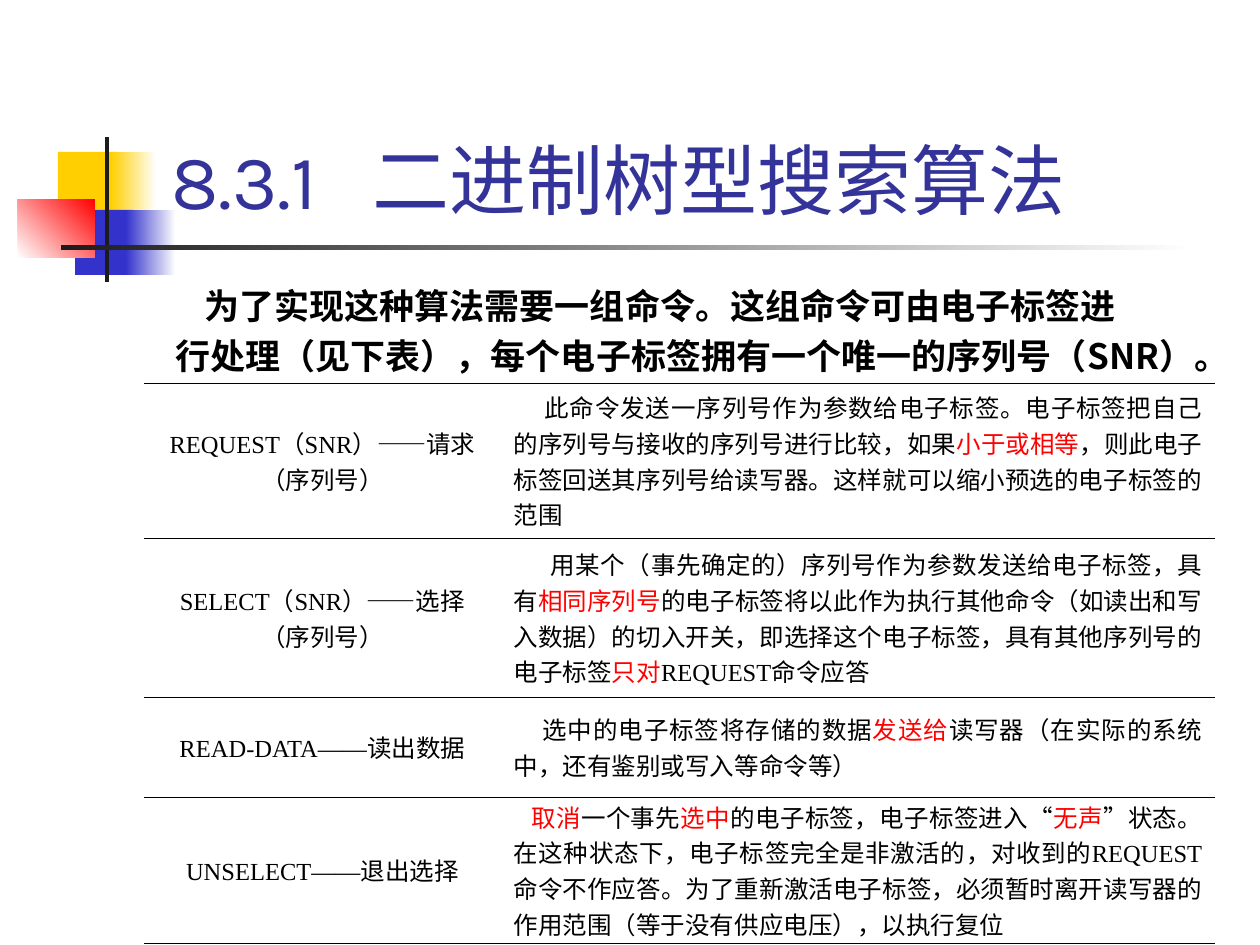
from dataclasses import dataclass

from lxml import etree
from pptx import Presentation
from pptx.dml.color import RGBColor
from pptx.enum.shapes import MSO_SHAPE
from pptx.enum.text import MSO_ANCHOR, PP_ALIGN
from pptx.oxml.ns import qn
from pptx.util import Pt

RECTANGLE = MSO_SHAPE.RECTANGLE
MIDDLE, BOTTOM = MSO_ANCHOR.MIDDLE, MSO_ANCHOR.BOTTOM
CENTER, JUSTIFY = PP_ALIGN.CENTER, PP_ALIGN.JUSTIFY
EMU_PER_PX = 914400 // 126


@dataclass(frozen=True)
class Theme:
    yellow: str = "FFCF01"
    blue: str = "3333CC"
    red: str = "FF0000"
    dark: str = "1C1C1C"
    white: str = "FFFFFF"
    black: str = "000000"
    title: str = "333399"
    title_font: str = "Karla"
    chinese_font: str = "Noto Sans CJK SC"
    table_font: str = "Times New Roman"
    title_size: int = 44
    body_size: int = 20
    table_size: int = 14
    border_width: float = 0.45


THEME = Theme()

DECORATION = [
    (58, 152, 60, 65, [THEME.yellow], 0),
    (111, 152, 45, 65, [THEME.yellow, THEME.white], 0),
    (75, 210, 58, 65, [THEME.blue], 0),
    (126, 210, 50, 65, [THEME.blue, THEME.white], 0),
    (18, 199, 77, 59, [THEME.white, THEME.red], 45),
    (105, 137, 4, 145, [THEME.dark], 0),
    (61, 245, 1134, 5, [THEME.dark, THEME.white], 0),
]

INTRODUCTION = [
    ("为了实现这种算法需要一组命令。这组命令可由电子标签进", -19),
    ("行处理（见下表），每个电子标签拥有一个唯一的序列号（SNR）。", -48),
]

COMMANDS = [
    ("REQUEST（SNR）——请求（序列号）", 155, 6, 31,
     "此命令发送一序列号作为参数给电子标签。电子标签把自己的序列号与接收的序列号进行比较，"
     "如果|小于或相等|，则此电子标签回送其序列号给读写器。这样就可以缩小预选的电子标签的范围"),
    ("SELECT（SNR）——选择（序列号）", 159, 6, 37,
     "用某个（事先确定的）序列号作为参数发送给电子标签，具有|相同序列号|的电子标签将以此作为"
     "执行其他命令（如读出和写入数据）的切入开关，即选择这个电子标签，具有其他序列号的"
     "电子标签|只对|REQUEST命令应答"),
    ("READ-DATA——读出数据", 100, 6, 29,
     "选中的电子标签将存储的数据|发送给|读写器（在实际的系统中，还有鉴别或写入等命令等）"),
    ("UNSELECT——退出选择", 146, 1, 18,
     "|取消|一个事先|选中|的电子标签，电子标签进入“|无声|”状态。在这种状态下，"
     "电子标签完全是非激活的，对收到的REQUEST命令不作应答。为了重新激活电子标签，"
     "必须暂时离开读写器的作用范围（等于没有供应电压），以执行复位"),
]


def px(length):
    return length * EMU_PER_PX


def format_run(run, size, font_name, color, bold=False):
    font = run.font
    font.size = Pt(size)
    font.bold = bold
    font.color.rgb = RGBColor.from_string(color)
    font.name = font_name
    properties = run._r.get_or_add_rPr()
    etree.SubElement(properties, qn("a:ea")).set("typeface", THEME.chinese_font)


def set_indent(paragraph, first_line, margin=0):
    properties = paragraph._p.get_or_add_pPr()
    properties.set("marL", str(px(margin)))
    properties.set("indent", str(px(first_line)))


def add_block(slide, left, top, width, height, colors, angle):
    shape = slide.shapes.add_shape(RECTANGLE, px(left), px(top), px(width), px(height))
    shape.shadow.inherit = False
    shape.line.fill.background()
    if len(colors) == 1:
        shape.fill.solid()
        shape.fill.fore_color.rgb = RGBColor.from_string(colors[0])
        return
    shape.fill.gradient()
    shape.fill.gradient_angle = angle
    for stop, color in zip(shape.fill.gradient_stops, colors):
        stop.color.rgb = RGBColor.from_string(color)


def add_text_frame(slide, left, top, width, height):
    box = slide.shapes.add_textbox(px(left), px(top), px(width), px(height))
    box.text_frame.word_wrap = True
    return box.text_frame


def add_title(slide):
    text_frame = add_text_frame(slide, 159, 29, 1074, 202)
    text_frame.vertical_anchor = BOTTOM
    text_frame.text = "8.3.1\t二进制树型搜索算法"
    paragraph = text_frame.paragraphs[0]
    tabs = etree.SubElement(paragraph._p.get_or_add_pPr(), qn("a:tabLst"))
    etree.SubElement(tabs, qn("a:tab"), pos=str(px(201)), algn="l")
    for run in paragraph.runs:
        format_run(run, THEME.title_size, THEME.title_font, THEME.title)


def add_introduction(slide):
    text_frame = add_text_frame(slide, 163, 278, 1097, 567)
    for index, (text, first_line) in enumerate(INTRODUCTION):
        paragraph = text_frame.add_paragraph() if index else text_frame.paragraphs[0]
        paragraph.text = text
        set_indent(paragraph, first_line, 48)
        if index:
            paragraph.space_before = Pt(5)
        format_run(paragraph.runs[0], THEME.body_size, THEME.chinese_font, THEME.black, True)


def set_borders(cell):
    properties = cell._tc.get_or_add_tcPr()
    for side in ("lnL", "lnR", "lnT", "lnB"):
        line = etree.SubElement(properties, qn(f"a:{side}"))
        if side in ("lnL", "lnR"):
            etree.SubElement(line, qn("a:noFill"))
            continue
        line.set("w", str(Pt(THEME.border_width)))
        fill = etree.SubElement(line, qn("a:solidFill"))
        etree.SubElement(fill, qn("a:srgbClr"), val=THEME.black)


def fill_cell(cell, marked_text, alignment, margin, first_line=0):
    set_borders(cell)
    cell.fill.background()
    cell.vertical_anchor = MIDDLE
    cell.margin_top = cell.margin_bottom = px(margin)
    paragraph = cell.text_frame.paragraphs[0]
    paragraph.alignment = alignment
    set_indent(paragraph, first_line)
    for index, part in enumerate(marked_text.split("|")):
        if part:
            run = paragraph.add_run()
            run.text = part
            color = THEME.red if index % 2 else THEME.black
            format_run(run, THEME.table_size, THEME.table_font, color)


def add_command_table(slide):
    widths = (357, 714)
    total_height = sum(command[1] for command in COMMANDS)
    frame = slide.shapes.add_table(
        len(COMMANDS), len(widths), px(144), px(383), px(sum(widths)), px(total_height))
    table = frame.table
    table.first_row = False
    table.horz_banding = False
    for column, width in zip(table.columns, widths):
        column.width = px(width)
    for index, (command, height, margin, first_line, description) in enumerate(COMMANDS):
        table.rows[index].height = px(height)
        fill_cell(table.cell(index, 0), command, CENTER, margin)
        fill_cell(table.cell(index, 1), description, JUSTIFY, margin, first_line)


def main():
    presentation = Presentation()
    presentation.slide_width = px(1260)
    presentation.slide_height = px(945)
    slide = presentation.slides.add_slide(presentation.slide_layouts[6])
    for block in DECORATION:
        add_block(slide, *block)
    add_title(slide)
    add_introduction(slide)
    add_command_table(slide)
    presentation.save("out.pptx")


if __name__ == "__main__":
    main()
